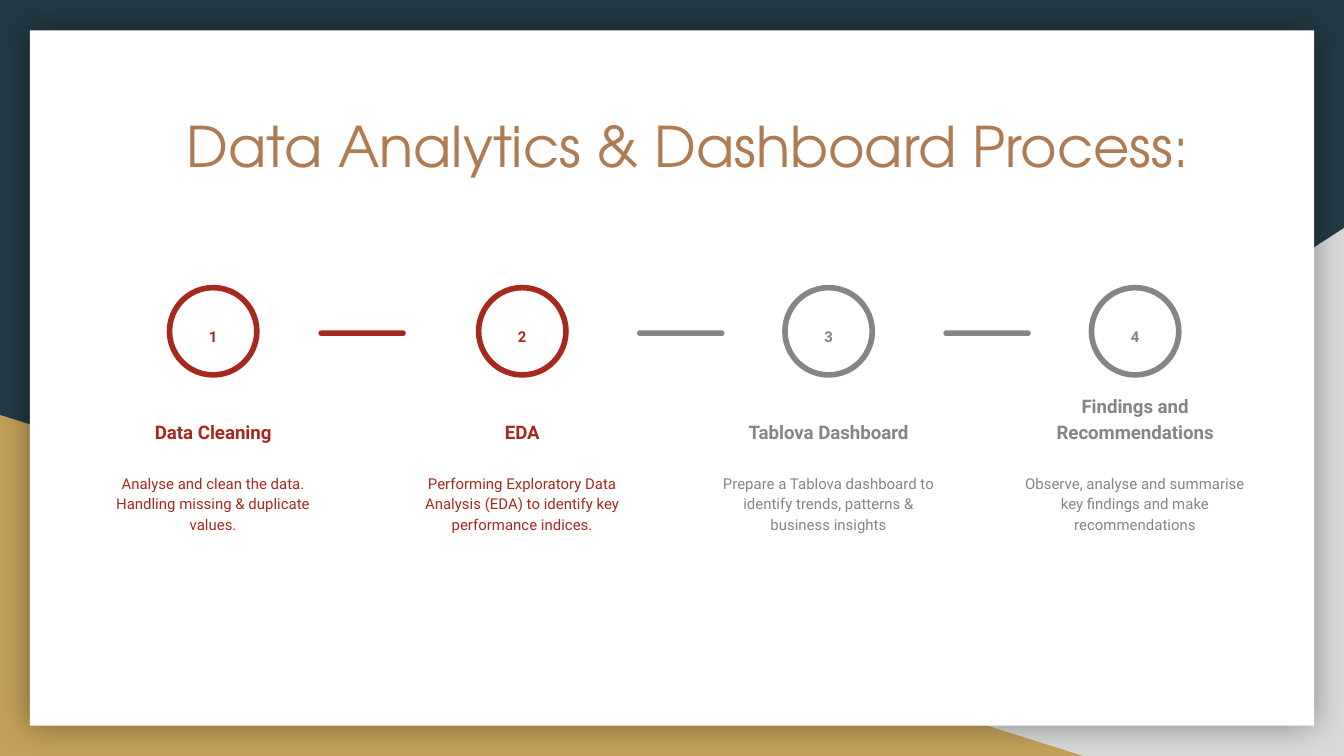
import lxml.etree
import pptx
import pptx.dml.color
import pptx.enum.shapes
import pptx.enum.text
import pptx.oxml.ns
import pptx.util

Pt = pptx.util.Pt
SHAPE = pptx.enum.shapes.MSO_SHAPE
ALIGN = pptx.enum.text.PP_ALIGN
ANCHOR = pptx.enum.text.MSO_ANCHOR

COLORS = {
    "navy": "233A44", "light": "D9D9D9", "gold": "C4A15A", "paper": "FFFFFF",
    "title": "AF7B51", "done": "A7291E", "next": "858585", "shadow": "000000",
}
TITLE = "Data Analytics & Dashboard Process:"
# Center x, color, heading, description
STEPS = [
    (114.2, "done", "Data Cleaning",
     "Analyse and clean the data. Handling missing & duplicate values."),
    (279.8, "done", "EDA",
     "Performing Exploratory Data Analysis (EDA) to identify key performance indices."),
    (443.9, "next", "Tablova Dashboard",
     "Prepare a Tablova dashboard to identify trends, patterns & business insights"),
    (608.1, "next", "Findings and Recommendations",
     "Observe, analyse and summarise key findings and make recommendations"),
]
# Left x, color
BARS = [(170.6, "done"), (341.3, "next"), (505.4, "next")]
CIRCLE = 46.8
CARD_WIDTH = 134.6
NUMBER_WIDTH = 34.6


def rgb(name):
    return pptx.dml.color.RGBColor.from_string(COLORS[name])


def add_filled(shapes, kind, box, color):
    shape = shapes.add_shape(kind, *map(Pt, box))
    shape.shadow.inherit = False
    shape.fill.solid()
    shape.fill.fore_color.rgb = rgb(color)
    shape.line.fill.background()
    return shape


def write(text_frame, text, font, size, color, bold=False,
          align=ALIGN.CENTER, anchor=ANCHOR.TOP):
    text_frame.word_wrap = True
    text_frame.auto_size = pptx.enum.text.MSO_AUTO_SIZE.NONE
    text_frame.vertical_anchor = anchor
    text_frame.margin_left = text_frame.margin_right = Pt(7.2)
    text_frame.margin_top = text_frame.margin_bottom = Pt(7.2)
    paragraph = text_frame.paragraphs[0]
    paragraph.alignment = align
    run = paragraph.add_run()
    run.text = text
    run.font.name = font
    run.font.size = Pt(size)
    run.font.bold = bold
    run.font.color.rgb = rgb(color)
    return paragraph


def add_glow(shape):
    """Give the shape a soft shadow that spreads evenly on all sides."""
    effects = shape._element.spPr.find(pptx.oxml.ns.qn("a:effectLst"))
    shadow = lxml.etree.SubElement(
        effects, pptx.oxml.ns.qn("a:outerShdw"),
        blurRad=str(Pt(18)), dist="0", dir="0", algn="ctr", rotWithShape="0")
    color = lxml.etree.SubElement(
        shadow, pptx.oxml.ns.qn("a:srgbClr"), val=COLORS["shadow"])
    lxml.etree.SubElement(color, pptx.oxml.ns.qn("a:alpha"), val="40000")


def add_backdrop(slide):
    slide.background.fill.solid()
    slide.background.fill.fore_color.rgb = rgb("navy")
    corner = add_filled(slide.shapes, SHAPE.RIGHT_TRIANGLE,
                        (282.2, 122.2, 437.8, 282.8), "light")
    corner._element.spPr.xfrm.set("flipH", "1")
    add_filled(slide.shapes, SHAPE.RIGHT_TRIANGLE, (0, 222.3, 580.3, 182.7), "gold")
    paper = add_filled(slide.shapes, SHAPE.RECTANGLE, (16, 16.2, 688, 372.6), "paper")
    add_glow(paper)


def add_title(slide):
    title = slide.shapes.title
    title.left, title.top, title.width, title.height = map(Pt, (92.9, 52.6, 553.7, 78.5))
    write(title.text_frame, TITLE, "TeX Gyre Adventor", 30, "title", align=ALIGN.LEFT)
    slide.shapes._spTree.append(title._element)  # in front of the backdrop


def add_step(slide, number, center, color, heading, description):
    shapes = slide.shapes.add_group_shape().shapes
    circle = shapes.add_shape(SHAPE.OVAL, Pt(center - CIRCLE / 2), Pt(154.1),
                              Pt(CIRCLE), Pt(CIRCLE))
    circle.shadow.inherit = False
    circle.fill.background()
    circle.line.color.rgb = rgb(color)
    circle.line.width = Pt(3)

    # Text, width, top, height, size, bold, anchor, space after
    labels = [
        (str(number), NUMBER_WIDTH, 167, 25.2, 8, True, ANCHOR.TOP, 16),
        (heading, CARD_WIDTH, 209.5, 35.3, 10, True, ANCHOR.BOTTOM, 0),
        (description, CARD_WIDTH, 245.5, 58.3, 8, False, ANCHOR.TOP, 16),
    ]
    for text, width, top, height, size, bold, anchor, space_after in labels:
        label = shapes.add_textbox(Pt(center - width / 2), Pt(top), Pt(width), Pt(height))
        paragraph = write(label.text_frame, text, "Roboto", size, color, bold, anchor=anchor)
        paragraph.line_spacing = 1.15
        paragraph.space_after = Pt(space_after)


def main():
    presentation = pptx.Presentation()
    presentation.slide_width, presentation.slide_height = Pt(720), Pt(405)
    slide = presentation.slides.add_slide(presentation.slide_layouts[5])
    add_backdrop(slide)
    add_title(slide)
    for number, step in enumerate(STEPS, start=1):
        add_step(slide, number, *step)
    for left, color in BARS:
        bar = add_filled(slide.shapes, SHAPE.ROUNDED_RECTANGLE, (left, 177, 46.8, 3), color)
        bar.adjustments[0] = 0.5
    presentation.save("out.pptx")


if __name__ == "__main__":
    main()
